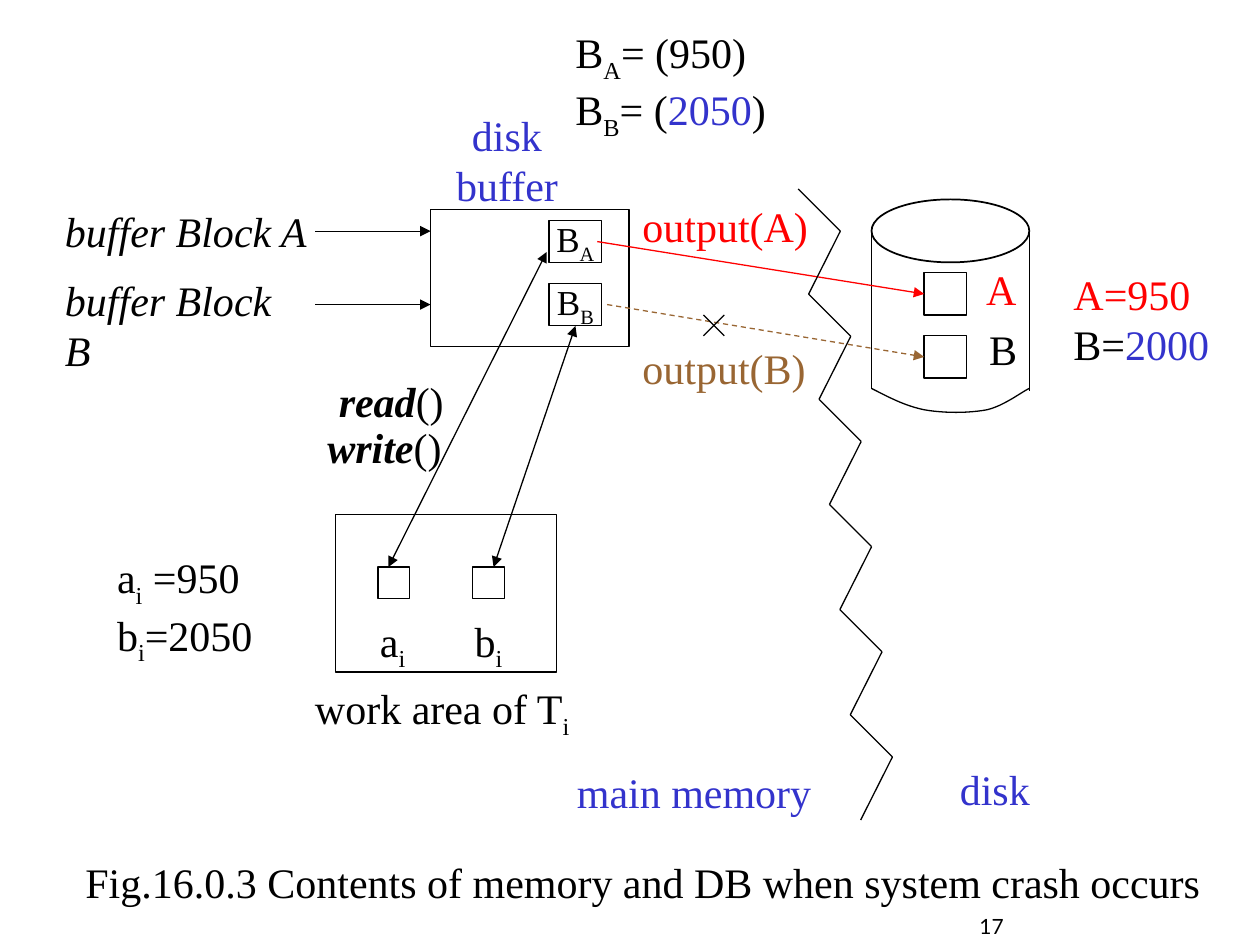
from itertools import pairwise

from lxml import etree
from pptx import Presentation
from pptx.dml.color import RGBColor
from pptx.enum.dml import MSO_LINE
from pptx.enum.shapes import MSO_CONNECTOR, MSO_SHAPE
from pptx.enum.text import MSO_ANCHOR, MSO_AUTO_SIZE, PP_ALIGN
from pptx.oxml.ns import qn
from pptx.util import Cm, Pt

COLORS = {"black": "000000", "red": "FF0000", "blue": "3333CC", "brown": "996633"}
SERIF = "Times New Roman"
TOP, LEFT, BOTTOM = 0, 1, 2

SUB = {"sub": True}
BLUE = {"color": "blue"}
RED = {"color": "red"}
BROWN = {"color": "brown"}
ITALIC = {"italic": True}
BOLD_ITALIC = {"bold": True, "italic": True}


def rgb(name):
    return RGBColor.from_string(COLORS[name])


def set_line(line, color="black", width=0.75):
    line.color.rgb = rgb(color)
    line.width = Pt(width)


def fill_text(tf, paragraphs, size=24, font=SERIF, align=None):
    """Write paragraphs, each a list of (text, format) runs."""
    for i, runs in enumerate(paragraphs):
        p = tf.paragraphs[0] if i == 0 else tf.add_paragraph()
        p.alignment = align
        for text, fmt in runs:
            r = p.add_run()
            r.text = text
            values = {"name": font, "size": Pt(size), "bold": fmt.get("bold", False),
                      "italic": fmt.get("italic", False)}
            for key, value in values.items():
                setattr(r.font, key, value)
            r.font.color.rgb = rgb(fmt.get("color", "black"))
            if fmt.get("sub"):
                r.font._element.set("baseline", "-25000")


def add_label(s, x, y, w, paragraphs, wrap=False, align=None):
    h = 1.27 if len(paragraphs) == 1 else 2.29
    tf = s.shapes.add_textbox(Cm(x), Cm(y), Cm(w), Cm(h)).text_frame
    tf.word_wrap = wrap
    tf.auto_size = MSO_AUTO_SIZE.SHAPE_TO_FIT_TEXT
    fill_text(tf, paragraphs, align=align)


def add_outline(s, x, y, w, h, kind=MSO_SHAPE.RECTANGLE, width=0.75):
    sp = s.shapes.add_shape(kind, Cm(x), Cm(y), Cm(w), Cm(h))
    sp.shadow.inherit = False
    sp.fill.background()
    set_line(sp.line, width=width)
    return sp


def add_block(s, x, y, index):
    sp = add_outline(s, x, y, 1.06, 0.85)
    tf = sp.text_frame
    tf.word_wrap = False
    tf.vertical_anchor = MSO_ANCHOR.MIDDLE
    fill_text(tf, [[("B", {}), (index, SUB)]], size=20, align=PP_ALIGN.CENTER)
    return sp


def add_line(s, start, end, color="black", heads=(), dash=None):
    """Draw a line; heads names its arrow ends (headEnd, tailEnd in that order)."""
    c = s.shapes.add_connector(MSO_CONNECTOR.STRAIGHT, *map(Cm, start + end))
    set_line(c.line, color)
    if dash:
        c.line.dash_style = dash
    ln = c.line._get_or_add_ln()
    for head in heads:
        etree.SubElement(ln, qn(f"a:{head}"), type="triangle")
    etree.SubElement(c._element.spPr, qn("a:effectLst"))
    return c


def bezier(p0, p1, p2, p3, steps=12):
    for i in range(1, steps + 1):
        t = i / steps
        u = 1 - t
        yield tuple(u**3 * a + 3 * u * u * t * b + 3 * u * t * t * c + t**3 * d
                    for a, b, c, d in zip(p0, p1, p2, p3))


def add_cylinder(s):
    add_outline(s, 17.57, 4.02, 3.18, 1.27, MSO_SHAPE.OVAL, 1)
    for x, y in ((17.57, 4.66), (20.75, 4.7)):
        add_line(s, (x, y), (x, y + 3.18))
    start, left, right, end = (17.57, 7.83), (18.63, 8.26), (19.9, 8.26), (20.75, 7.83)
    curves = [(start, (17.9, 8), (18.24, 8.18), left),
              (left, (19.02, 8.33), (19.53, 8.33), right),
              (right, (20.24, 8.18), (20.6, 7.9), end)]
    points = [(Cm(x), Cm(y)) for curve in curves for x, y in bezier(*curve)]
    builder = s.shapes.build_freeform(Cm(start[0]), Cm(start[1]))
    builder.add_line_segments(points, close=False)
    base = builder.convert_to_shape()
    base.shadow.inherit = False
    base.fill.background()
    set_line(base.line)


def add_boundary(s, x=16.09, y=3.81, teeth=6):
    """Zigzag between main memory and disk."""
    points = []
    for i in range(teeth):
        left, top = x + 0.21 * i, y + 2.12 * i
        points += [(left, top), (left + 0.85, top + 0.85)]
    points.append((x + 0.21 * teeth, y + 2.12 * teeth))
    for start, end in pairwise(points):
        add_line(s, start, end)


def add_labels(s):
    add_label(s, 19.63, 5.18, 1.12, [[("A", RED)]])
    add_label(s, 19.69, 6.4, 1.07, [[("B", {})]])
    add_label(s, 8.53, 2.08, 3.38, [[("disk", BLUE)], [("buffer", BLUE)]],
              wrap=True, align=PP_ALIGN.CENTER)
    add_label(s, 12.7, 3.91, 3.86, [[("output(A)", RED)]])
    add_label(s, 12.7, 6.78, 4.01, [[("output(B)", BROWN)]])
    add_label(s, 6.58, 7.44, 2.62, [[("read", BOLD_ITALIC), ("()", {})]])
    add_label(s, 6.35, 8.38, 2.82, [[("write", BOLD_ITALIC), ("()", {})]])
    add_label(s, 19.1, 15.27, 1.93, [[("disk", BLUE)]])
    add_label(s, 6.1, 13.64, 5.72, [[("work area of T", {}), ("i", SUB)]], wrap=True)
    add_label(s, 11.38, 15.32, 5.23, [[("main memory", BLUE)]])
    add_label(s, 1.47, 17.15, 22.99, [
        [("Fig.16.0.3 Contents of memory and DB when system crash occurs", {})]])
    add_label(s, 21.39, 5.28, 3.25, [[("A=950", RED)], [("B=", {}), ("2000", BLUE)]])
    add_label(s, 2.11, 11, 3.25, [[("a", {}), ("i", SUB), (" =950", {})],
                                  [("b", {}), ("i", SUB), ("=2050", {})]])
    add_label(s, 11.35, 0.41, 4.39, [
        [("B", {}), ("A", SUB), ("= (950)", {})],
        [("B", {}), ("B", SUB), ("= (", {}), ("2050", BLUE), (")", {})]])


def add_page_number(s):
    tf = s.shapes.add_textbox(Cm(17.35), Cm(17.78), Cm(5.28), Cm(1.27)).text_frame
    tf.word_wrap = True
    tf.vertical_anchor = MSO_ANCHOR.BOTTOM
    fill_text(tf, [[("17", {})]], size=12, font="Lato", align=PP_ALIGN.CENTER)


def main():
    prs = Presentation()
    prs.slide_width, prs.slide_height = Cm(25.4), Cm(19.05)
    s = prs.slides.add_slide(prs.slide_layouts[6])

    add_outline(s, 8.68, 4.23, 4, 2.75)
    add_block(s, 11.07, 4.45, "A")
    block_b = add_block(s, 11.07, 5.72, "B")
    add_cylinder(s)
    disk_a, disk_b = [add_outline(s, 18.63, y, 0.85, 0.85) for y in (5.5, 6.77)]

    add_outline(s, 6.77, 10.37, 4.45, 3.18)
    for x, name in ((7.62, "a"), (9.53, "b")):
        add_outline(s, x, 11.43, 0.64, 0.64)
        add_label(s, x - 0.21, 12.28, 1.07, [[(name, {}), ("i", SUB)]])

    for name, y, w, arrow_y in (("A", 4.02, 5.61, 4.66), ("B", 5.4, 5.38, 6.14)):
        add_label(s, 1.06, y, w, [[(f"buffer Block {name}", ITALIC)]])
        add_line(s, (6.35, arrow_y), (8.68, arrow_y), heads=["tailEnd"])

    output_a = add_line(s, (12.04, 4.87), (18.63, 5.93), "red", ["tailEnd"])
    output_a.end_connect(disk_a, LEFT)
    output_b = add_line(s, (12.24, 6.14), (18.63, 7.2), "brown", ["tailEnd"],
                        MSO_LINE.DASH)
    output_b.end_connect(disk_b, LEFT)
    both = ["headEnd", "tailEnd"]
    add_line(s, (11.02, 5.08), (7.83, 11.43), heads=both)
    transfer_b = add_line(s, (9.95, 11.43), (11.6, 6.57), heads=both)
    transfer_b.end_connect(block_b, BOTTOM)

    add_boundary(s)
    for x1, x2 in ((14.18, 14.6), (14.6, 14.18)):
        add_line(s, (x1, 6.35), (x2, 6.77))
    add_labels(s)
    add_page_number(s)
    prs.save("out.pptx")


if __name__ == "__main__":
    main()
